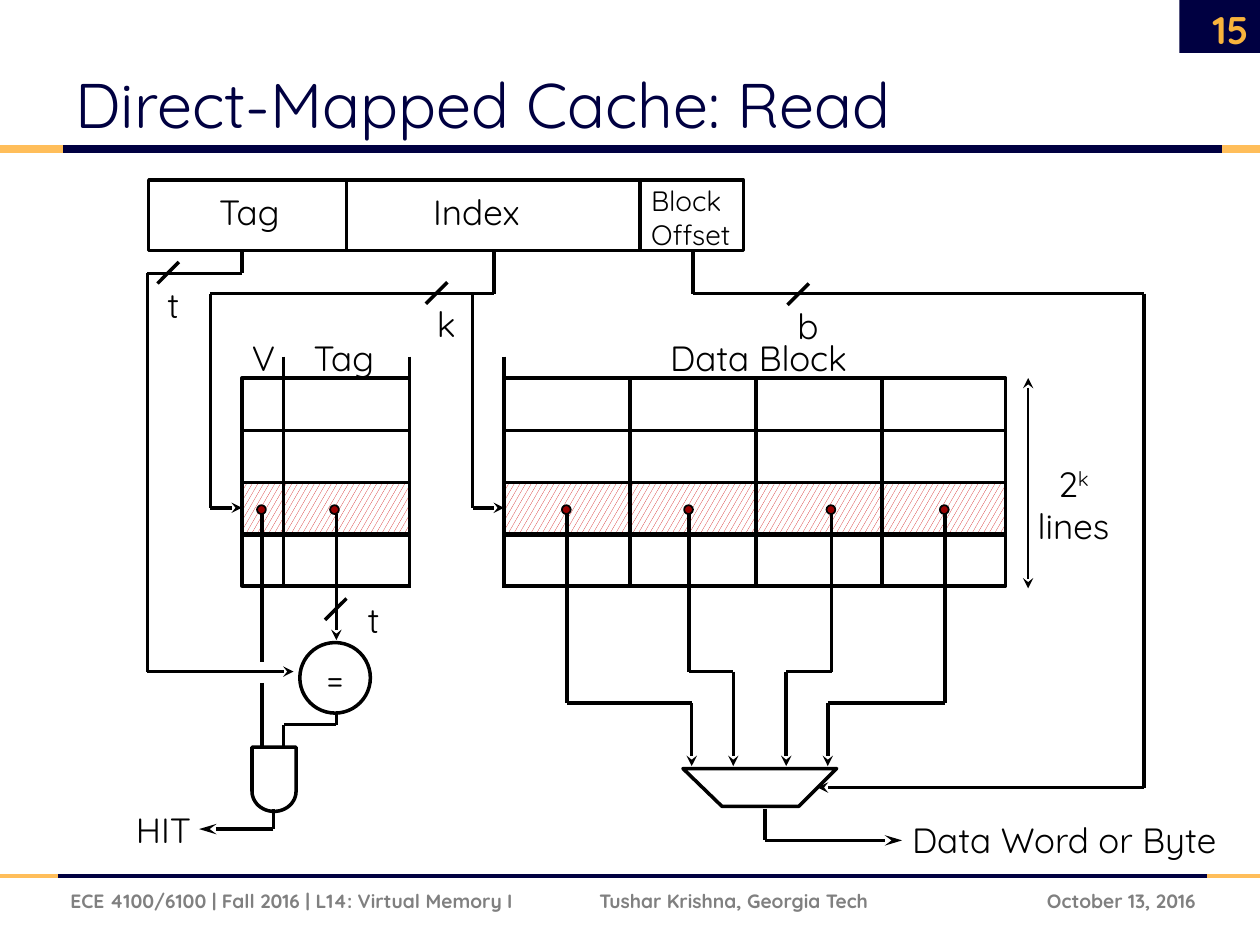
"""Build the slide on reading a direct-mapped cache."""
from dataclasses import dataclass
from itertools import pairwise
from math import cos, pi, sin

from lxml.etree import SubElement
from pptx import Presentation
from pptx.dml.color import RGBColor as RGB
from pptx.enum.dml import MSO_PATTERN
from pptx.enum.shapes import MSO_CONNECTOR, MSO_SHAPE
from pptx.enum.text import MSO_ANCHOR, PP_ALIGN
from pptx.oxml.ns import qn
from pptx.util import Inches, Pt


@dataclass(frozen=True)
class Theme:
    font: str = "Quicksand"
    navy: RGB = RGB(0x00, 0x00, 0x41)
    gold: RGB = RGB(0xFF, 0xBE, 0x5A)
    number: RGB = RGB(0xF8, 0xB3, 0x3C)
    gray: RGB = RGB(0x80, 0x80, 0x80)
    ink: RGB = RGB(0, 0, 0)
    paper: RGB = RGB(0xFF, 0xFF, 0xFF)
    hatch: RGB = RGB(0xD0, 0x10, 0x10)
    dot: RGB = RGB(0x99, 0, 0)
    title_size: int = 36
    number_size: int = 22
    label_size: int = 20
    field_size: int = 16
    footer_size: int = 11


theme = Theme()
deck = Presentation()
deck.slide_width, deck.slide_height = Inches(10), Inches(7.5)
slide = deck.slides.add_slide(deck.slide_layouts[5])
shapes = slide.shapes


def wire(points, arrows=(), color=theme.ink, width=2, length="med"):
    for start, end in pairwise(points):
        segment = shapes.add_connector(
            MSO_CONNECTOR.STRAIGHT, *(Inches(v) for v in (*start, *end)))
        segment.line.color.rgb = color
        segment.line.width = Pt(width)
        SubElement(segment._element.spPr, qn("a:effectLst"))
    for arrow in arrows:
        SubElement(segment.line._get_or_add_ln(), qn(f"a:{arrow}"),
                   type="stealth", w="med", len=length)
    return segment


def write(frame, lines, size=theme.label_size, color=theme.ink, bold=False,
          align=PP_ALIGN.LEFT, anchor=MSO_ANCHOR.TOP):
    frame.word_wrap = True
    frame.vertical_anchor = anchor
    for index, runs in enumerate(lines):
        paragraph = frame.add_paragraph() if index else frame.paragraphs[0]
        paragraph.alignment = align
        for position, text in enumerate(runs):
            run = paragraph.add_run()
            run.text = text
            run.font.name, run.font.size = theme.font, Pt(size)
            run.font.color.rgb, run.font.bold = color, bold
            if position:
                run._r.get_or_add_rPr().set("baseline", "30000")


page_tab = shapes.add_shape(MSO_SHAPE.RECTANGLE, Inches(9.36), 0, Inches(0.68), Inches(0.42))
page_tab.shadow.inherit = False
page_tab.fill.solid()
page_tab.fill.fore_color.rgb = theme.navy
page_tab.line.fill.background()

for y, left, right, width in ((6.95, 0.46, 9.58, 2.25), (1.18, 0.5, 9.7, 4.5)):
    wire([(left, y), (right, y)], color=theme.navy, width=width)
    wire([(0, y), (left, y)], color=theme.gold, width=width)
    wire([(right, y), (10, y)], color=theme.gold, width=width)

title = shapes.title
title.left, title.top, title.width, title.height = map(Inches, (0.5, 0.17, 8.18, 1))
write(title.text_frame, [["Direct-Mapped Cache: Read"]], theme.title_size,
      theme.navy, anchor=MSO_ANCHOR.BOTTOM)

for text, x, y, width, size, color, align in (
    ("ECE 4100/6100 | Fall 2016 | L14: Virtual Memory I", 0.46, 6.95, 4.2,
     theme.footer_size, theme.gray, PP_ALIGN.LEFT),
    ("Tushar Krishna, Georgia Tech", 4.66, 6.95, 3,
     theme.footer_size, theme.gray, PP_ALIGN.LEFT),
    ("October 13, 2016", 7.67, 6.95, 1.92,
     theme.footer_size, theme.gray, PP_ALIGN.RIGHT),
    ("15", 9.34, 0.03, 0.67, theme.number_size, theme.number, PP_ALIGN.RIGHT),
):
    caption = shapes.add_textbox(Inches(x), Inches(y), Inches(width), Inches(0.4))
    write(caption.text_frame, [[text]], size, color, True, align, MSO_ANCHOR.MIDDLE)

selected_rows = []
for left, width in ((1.92, 1.33), (4, 3.98)):
    selected = shapes.add_shape(MSO_SHAPE.RECTANGLE, Inches(left), Inches(3.83),
                                Inches(width), Inches(0.4))
    selected.shadow.inherit = False
    selected.fill.patterned()
    selected.fill.pattern = MSO_PATTERN.LARGE_CONFETTI
    selected.fill.fore_color.rgb = theme.hatch
    selected.fill.back_color.rgb = theme.paper
    selected.line.color.rgb = theme.ink
    selected.line.width = Pt(1)
    selected_rows.append(selected)
    for row in range(1, 4):
        y = 3 + 0.415 * row
        wire([(left, y), (left + width, y)])
tag_row, data_row = selected_rows

for x, top in ((2.25, 2.83), (3.25, 2.83), (4, 2.83), (5, 3), (6, 3), (7, 3)):
    wire([(x, top), (x, 4.67)])
for x in (2.75, 5.08):
    wire([(x, 1.42), (x, 2)])
for left, top, width, height in ((1.92, 3, 1.33, 1.65), (4, 3, 3.98, 1.65),
                                 (1.18, 1.43, 4.72, 0.56)):
    frame = shapes.add_shape(MSO_SHAPE.RECTANGLE, *map(Inches, (left, top, width, height)))
    frame.shadow.inherit = False
    frame.fill.background()
    frame.line.color.rgb = theme.ink
    frame.line.width = Pt(2)

comparator = shapes.add_shape(MSO_SHAPE.OVAL, Inches(2.38), Inches(5.1),
                              Inches(0.56), Inches(0.56))
inset = comparator.text_frame
inset.margin_left = inset.margin_right = inset.margin_top = inset.margin_bottom = 0
write(inset, [["="]], align=PP_ALIGN.CENTER, anchor=MSO_ANCHOR.MIDDLE)

bowl = [(2.175 + 0.175 * cos(pi * step / 24), 6.28 + 0.16 * sin(pi * step / 24))
        for step in range(25)]
gates = [comparator]
for outline in ([(2, 5.93), (2.35, 5.93), *bowl],
                [(5.42, 6.1), (6.64, 6.1), (6.34, 6.4), (5.73, 6.4)]):
    corners = [(Inches(x), Inches(y)) for x, y in outline]
    builder = shapes.build_freeform(*corners[0])
    builder.add_line_segments(corners[1:], close=True)
    gates.append(builder.convert_to_shape())
for gate in gates:
    gate.shadow.inherit = False
    gate.fill.solid()
    gate.fill.fore_color.rgb = theme.paper
    gate.line.color.rgb = theme.ink
    gate.line.width = Pt(2)

for route in (
    [(2.08, 4.08), (2.08, 5.25)],
    [(2.08, 5.42), (2.08, 5.92)],
    [(2.67, 5.66), (2.67, 5.75), (2.25, 5.75), (2.25, 5.92)],
):
    wire(route)
for route in (
    [(2.67, 4.08), (2.67, 5.08)],
    [(1.92, 2), (1.92, 2.17), (1.17, 2.17), (1.17, 5.33), (2.33, 5.33)],
    [(4.5, 4.08), (4.5, 5.58), (5.49, 5.58), (5.49, 6.08)],
    [(5.47, 4.08), (5.47, 5.33), (5.82, 5.33), (5.82, 6.08)],
    [(6.6, 4.08), (6.6, 5.33), (6.24, 5.33), (6.24, 6.08)],
    [(7.5, 4.08), (7.5, 5.58), (6.57, 5.58), (6.57, 6.08)],
    [(5.5, 2), (5.5, 2.33), (9.08, 2.33), (9.08, 6.25), (6.49, 6.25)],
):
    wire(route, ["tailEnd"])
for route in ([(2.17, 6.42), (2.17, 6.58), (1.58, 6.58)],
              [(6.07, 6.42), (6.07, 6.67), (7.16, 6.67)]):
    wire(route, ["tailEnd"], length="lg")
wire([(8.16, 3), (8.16, 4.67)], ["headEnd", "tailEnd"], width=1)

tag_index = wire([(3.92, 2), (3.92, 2.33), (1.67, 2.33), (1.67, 4.03), (1.92, 4.03)],
                 ["tailEnd"])
tag_index.end_connect(tag_row, 1)
data_index = wire([(3.75, 2.33), (3.75, 4.03), (4, 4.03)], ["tailEnd"])
data_index.end_connect(data_row, 1)

for x, y in ((1.25, 2.25), (3.38, 2.41), (6.25, 2.42), (2.58, 4.92)):
    wire([(x, y), (x + 0.17, y - 0.17)])

for x in (2.08, 2.66, 4.5, 5.47, 6.6, 7.5):
    tap = shapes.add_shape(MSO_SHAPE.OVAL, Inches(x - 0.04), Inches(4.01),
                           Inches(0.07), Inches(0.07))
    tap.shadow.inherit = False
    tap.fill.solid()
    tap.fill.fore_color.rgb = theme.dot
    tap.line.color.rgb = theme.ink
    tap.line.width = Pt(1)

for text, x, y, width in (
    ("Tag", 1.64, 1.46, 0.8), ("Index", 3.34, 1.46, 1),
    ("V", 1.9, 2.62, 0.42), ("Tag", 2.39, 2.62, 0.8), ("Data Block", 5.22, 2.62, 1.7),
    ("t", 1.23, 2.2, 0.4), ("k", 3.37, 2.35, 0.4), ("b", 6.23, 2.37, 0.4),
    ("t", 2.82, 4.7, 0.4), ("HIT", 0.98, 6.37, 0.7),
    ("Data Word or Byte", 7.14, 6.45, 2.8),
):
    label = shapes.add_textbox(Inches(x), Inches(y), Inches(width), Inches(0.43))
    write(label.text_frame, [[text]])

offset = shapes.add_textbox(Inches(5.07), Inches(1.41), Inches(0.9), Inches(0.64))
write(offset.text_frame, [["Block"], ["Offset"]], theme.field_size)
line_count = shapes.add_textbox(Inches(8.1), Inches(3.62), Inches(0.84), Inches(0.77))
write(line_count.text_frame, [["2", "k"], ["lines"]], align=PP_ALIGN.CENTER)

deck.save("out.pptx")
